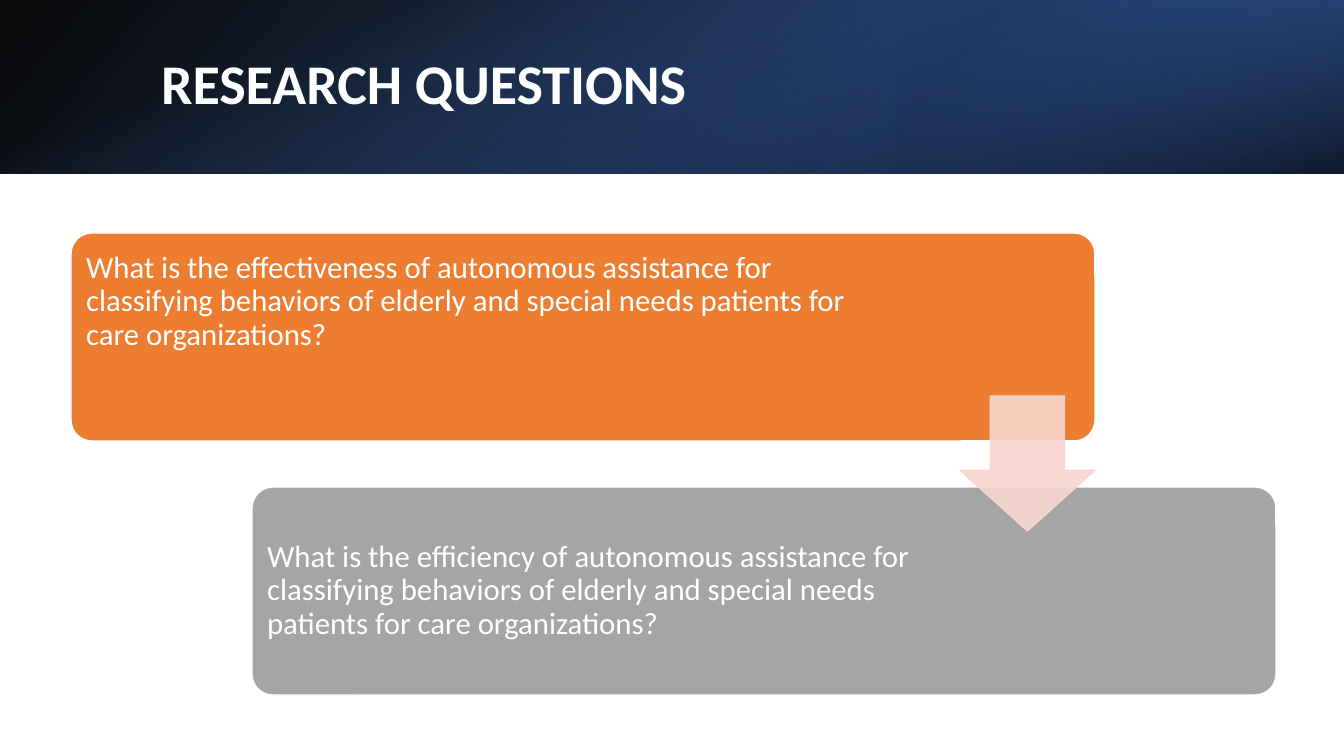
from dataclasses import dataclass

from lxml.etree import SubElement
from pptx import Presentation
from pptx.dml.color import RGBColor
from pptx.enum.shapes import MSO_SHAPE as Shape
from pptx.enum.text import MSO_ANCHOR as Anchor, MSO_AUTO_SIZE as AutoSize, PP_ALIGN as Align
from pptx.oxml.ns import qn
from pptx.util import Pt

EMU_PER_INCH, PX_PER_INCH = 914400, 100.8


@dataclass(frozen=True)
class Theme:
    """Colours, font and type sizes of the slide."""
    font: str = "Calibri"
    title_size: int = 40
    body_size: int = 22
    white: str = "FFFFFF"
    black: str = "000000"
    navy: str = "203864"
    deep_blue: str = "2F5597"
    blue: str = "4472C4"
    orange: str = "ED7D31"
    gray: str = "A5A5A5"
    pink: str = "F8D7CE"


THEME = Theme()


def px(n):
    """Turn pixels into EMU."""
    return round(n * EMU_PER_INCH / PX_PER_INCH)


def set_alpha(color, percent):
    """Give every colour element below the given one an opacity."""
    for c in color.iter(qn("a:srgbClr")):
        SubElement(c, qn("a:alpha")).set("val", str(percent * 1000))


def add_shape(s, kind, box, fill=None, line=None):
    """Add a preset shape in a pixel box, without shadow."""
    sp = s.shapes.add_shape(kind, *map(px, box))
    sp.shadow.inherit = False
    if fill:
        sp.fill.solid()
        sp.fill.fore_color.rgb = RGBColor.from_string(fill)
    if line:
        sp.line.color.rgb = RGBColor.from_string(line)
        sp.line.width = Pt(1)
    else:
        sp.line.fill.background()
    return sp


def add_gradient(s, box, stops, angle, rotation=0, flip=False):
    """Add a rectangle filled with a two-stop linear gradient."""
    sp = add_shape(s, Shape.RECTANGLE, box)
    sp.rotation = rotation
    if flip:
        sp._element.spPr.find(qn("a:xfrm")).set("flipH", "1")
    sp.fill.gradient()
    grad = sp._element.spPr.find(qn("a:gradFill"))
    grad.find(qn("a:lin")).set("ang", str(angle * 60000))
    grad.find(qn("a:lin")).set("scaled", "0")
    for stop, gs, (pos, color, alpha) in zip(
            sp.fill.gradient_stops, grad.iter(qn("a:gs")), stops):
        stop.position = pos / 100
        stop.color.rgb = RGBColor.from_string(color)
        set_alpha(gs, alpha)


def format_text(p, size, bold=False):
    """Format a left-aligned white paragraph."""
    p.alignment = Align.LEFT
    p.line_spacing = 0.9
    p.font.name = THEME.font
    p.font.size = Pt(size)
    p.font.bold = bold
    p.font.color.rgb = RGBColor.from_string(THEME.white)


def add_header(s, box, text):
    """Lay the gradient band and put the title on it."""
    x, y, w, h = box
    add_gradient(s, box, [(0, THEME.black, 96), (100, THEME.deep_blue, 100)], 140, flip=True)
    add_gradient(s, (x + w * 2 // 3, y, w // 3, h),
                 [(19, THEME.navy, 68), (100, THEME.blue, 79)], 320, rotation=180, flip=True)
    add_gradient(s, (x + (w - h) // 2, y + (h - w) // 2, h, w),
                 [(23, THEME.blue, 0), (99, THEME.black, 74)], 340, rotation=90)
    title = s.shapes.title
    title.left, title.top, title.width, title.height = map(px, (x + 151, y + 38, 1107, 97))
    tf = title.text_frame
    tf.text = text
    tf.auto_size = AutoSize.NONE
    tf.vertical_anchor = Anchor.MIDDLE
    format_text(tf.paragraphs[0], THEME.title_size, bold=True)
    s.shapes._spTree.append(title._element)


def add_card(s, box, text, fill, right, anchor, top):
    """Add a rounded question card with its text."""
    sp = add_shape(s, Shape.ROUNDED_RECTANGLE, box, fill, THEME.white)
    sp.adjustments[0] = 0.1
    tf = sp.text_frame
    tf.word_wrap = True
    tf.vertical_anchor = anchor
    tf.margin_left = tf.margin_bottom = px(9)
    tf.margin_right, tf.margin_top = px(right), px(top)
    tf.text = text
    format_text(tf.paragraphs[0], THEME.body_size)


def add_questions(s, box):
    """Stagger the two question cards and join them with an arrow."""
    x, y, w, h = box
    card_w, card_h, arrow = 1024, 208, 135
    add_card(s, (x, y, card_w, card_h),
             "What is the effectiveness of autonomous assistance for classifying behaviors "
             "of elderly and special needs patients for care organizations?",
             THEME.orange, 212, Anchor.TOP, 13)
    add_card(s, (x + w - card_w, y + h - card_h, card_w, card_h),
             "What is the efficiency of autonomous assistance for classifying behaviors "
             "of elderly and special needs patients for care organizations?",
             THEME.gray, 325, Anchor.MIDDLE, 9)
    sp = add_shape(s, Shape.DOWN_ARROW,
                   (x + card_w - arrow, y + (h - arrow) // 2, arrow, arrow),
                   THEME.pink, THEME.pink)
    sp.adjustments[0], sp.adjustments[1] = 0.55, 0.45
    set_alpha(sp._element.spPr, 90)


def main():
    """Build and save the slide."""
    prs = Presentation()
    prs.slide_width, prs.slide_height = px(1344), px(756)
    s = prs.slides.add_slide(prs.slide_layouts[5])
    add_header(s, (0, 0, 1344, 174), "RESEARCH QUESTIONS")
    add_questions(s, (71, 233, 1205, 462))
    prs.save("out.pptx")


if __name__ == "__main__":
    main()
